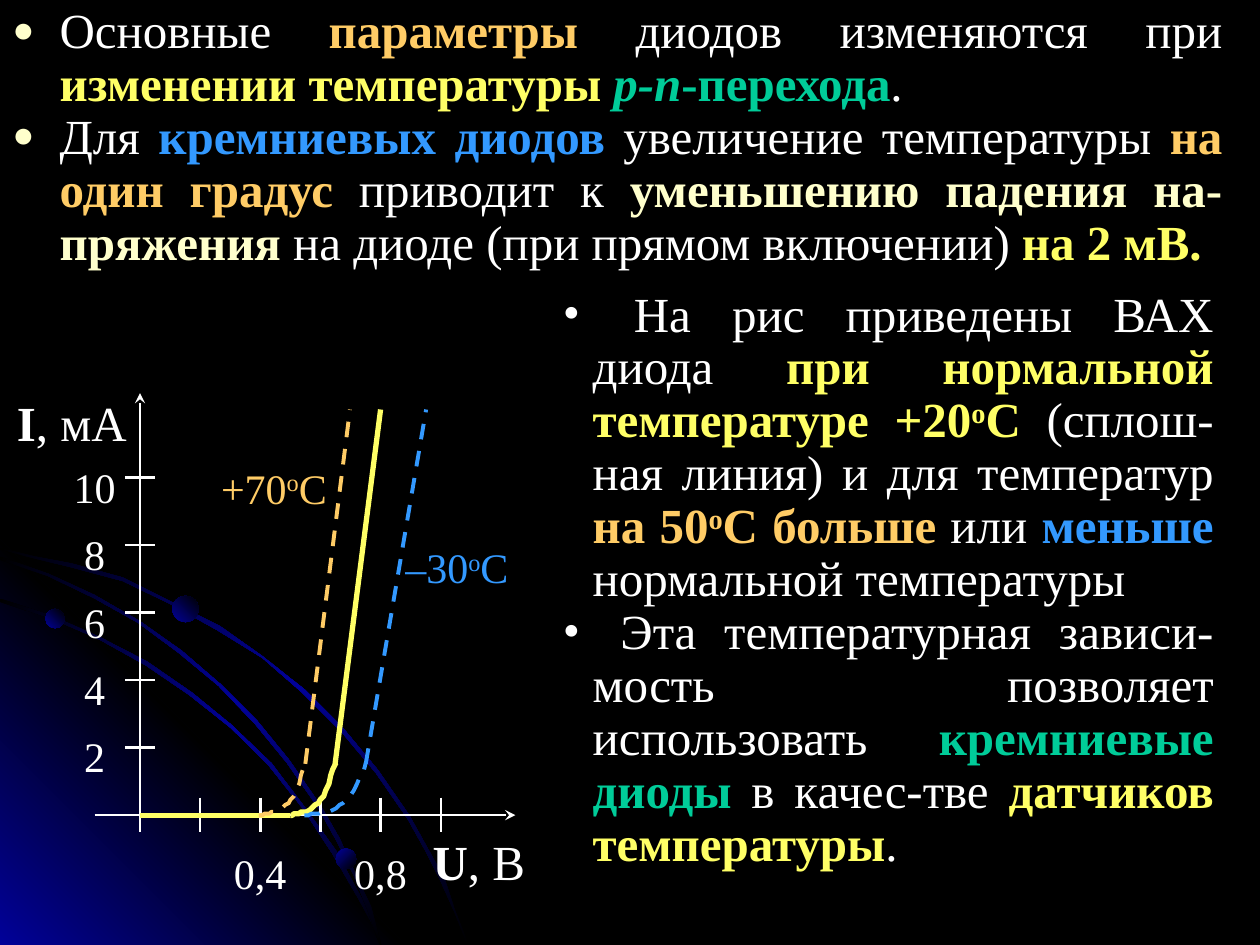
from dataclasses import dataclass
from typing import NamedTuple

from lxml import etree
from pptx import Presentation
from pptx import util as u
from pptx.dml.color import RGBColor
from pptx.enum import dml, shapes, text
from pptx.oxml import ns

COLORS = {"white": "FFFFFF", "black": "000000", "navy": "010199", "cream": "FFFFCC",
          "orange": "FFCC66", "yellow": "FFFF66", "green": "00CC99", "blue": "3399FF"}
FONT = "Times New Roman"
ORIGIN_X, AXIS_Y, KNEE_Y, TOP_Y = 80, 465.8, 436.5, 234
X_STEP, Y_STEP = 34.4, 38.5
BEND = [(0, 0), (0.03, 0), (0.11, 0.02), (0.17, 0.03), (0.25, 0.05), (0.33, 0.05), (0.44, 0.1),
        (0.53, 0.17), (0.64, 0.22), (0.75, 0.37), (0.83, 0.54), (0.94, 0.85), (1, 1)]
ARCS = [
    [(0, 313), (20, 317.5), (41, 322), (70.5, 330.5), (98, 343.5), (125.5, 358), (150.5, 375),
     (174, 394.5), (196, 416), (216, 440), (234, 466.5), (244, 484.5), (253.5, 502.5),
     (260.5, 520.5), (268, 539.5)],
    [(0, 342), (29.5, 351.5), (57, 363.5), (84, 378.5), (109.5, 395.5), (132.5, 414.5),
     (155, 436.5), (174, 461), (191.5, 486.5), (206, 512.5), (213, 525.5), (218, 539.5)],
    [(0, 318), (28, 327.5), (54.5, 340.5), (80, 355), (103.5, 371.5), (126, 391), (147, 412.5),
     (165, 434), (183, 460), (193.5, 479), (203, 499), (211.5, 518.5), (218, 539.5)],
]


class Run(NamedTuple):
    text: str
    color: str = "white"
    bold: bool = False
    italic: bool = False
    sup: bool = False


class Bullet(NamedTuple):
    char: str
    indent: float
    color: str
    percent: int


@dataclass
class Label:
    left: float
    top: float
    width: float
    runs: list
    size: float = 24


@dataclass
class Curve:
    foot: float
    knee: float
    tip: float
    color: str
    weight: float
    dashed: bool = True


@dataclass
class Ball:
    left: float
    top: float
    size: float
    angle: int


def rgb(name: str) -> RGBColor:
    return RGBColor.from_string(COLORS[name])


def child(parent, tag: str, **attrs):
    return etree.SubElement(parent, ns.qn(tag), {k: str(v) for k, v in attrs.items()})


def gradient(sp, names: list, angle: int) -> None:
    sp.shadow.inherit = False
    sp.line.fill.background()
    sp.fill.gradient()
    grad = sp._element.spPr.find(ns.qn("a:gradFill"))
    for old in list(grad):
        grad.remove(old)
    stops = child(grad, "a:gsLst")
    for i, name in enumerate(names):
        stop = child(stops, "a:gs", pos=100000 * i // (len(names) - 1))
        child(stop, "a:srgbClr", val=COLORS[name])
    child(grad, "a:lin", ang=angle * 60000, scaled=1)


def outline(s, points: list, close: bool):
    fb = s.shapes.build_freeform(*points[0], scale=u.Pt(1))
    fb.add_line_segments(points[1:], close=close)
    return fb.convert_to_shape()


def stroke(line, color: str, weight: float, dashed: bool) -> None:
    line.color.rgb = rgb(color)
    line.width = u.Pt(weight)
    if dashed:
        line.dash_style = dml.MSO_LINE.DASH


def add_line(s, x1: float, y1: float, x2: float, y2: float, color: str = "white",
             weight: float = 1.5, dashed: bool = False, arrow: bool = False) -> None:
    sp = s.shapes.add_connector(shapes.MSO_CONNECTOR.STRAIGHT, *map(u.Pt, (x1, y1, x2, y2)))
    stroke(sp.line, color, weight, dashed)
    if arrow:
        child(sp.line._get_or_add_ln(), "a:tailEnd", type="stealth")
    child(sp._element.spPr, "a:effectLst")


def add_runs(p, runs: list, size: float) -> None:
    for run in runs:
        r = p.add_run()
        r.text = run.text
        r.font.name, r.font.size = FONT, u.Pt(size)
        r.font.bold, r.font.italic = run.bold, run.italic
        r.font.color.rgb = rgb(run.color)
        if run.sup:
            r._r.get_or_add_rPr().set("baseline", "30000")


def add_frame(s, left: float, top: float, width: float, height: float):
    tf = s.shapes.add_textbox(*map(u.Pt, (left, top, width, height))).text_frame
    tf.word_wrap = True
    return tf


def add_label(s, label: Label) -> None:
    tf = add_frame(s, label.left, label.top, label.width, 28.8)
    tf.margin_left = tf.margin_right = tf.margin_top = tf.margin_bottom = 0
    tf.paragraphs[0].alignment = text.PP_ALIGN.CENTER
    add_runs(tf.paragraphs[0], label.runs, label.size)


def add_bullets(s, box: tuple, bullet: Bullet, items: list) -> None:
    tf = add_frame(s, *box)
    for i, runs in enumerate(items):
        p = tf.add_paragraph() if i else tf.paragraphs[0]
        p.alignment, p.line_spacing = text.PP_ALIGN.JUSTIFY, 0.9
        pPr = p._p.get_or_add_pPr()
        pPr.set("marL", str(u.Pt(bullet.indent)))
        pPr.set("indent", str(-u.Pt(bullet.indent)))
        child(child(pPr, "a:buClr"), "a:srgbClr", val=COLORS[bullet.color])
        child(pPr, "a:buSzPct", val=bullet.percent * 1000)
        child(pPr, "a:buFont", typeface=FONT)
        child(pPr, "a:buChar", char=bullet.char)
        add_runs(p, runs, 28)


def bezier(a: float, b: float, c: float, d: float, t: float) -> float:
    return a * (1 - t) ** 3 + 3 * b * t * (1 - t) ** 2 + 3 * c * t * t * (1 - t) + d * t ** 3


def add_curve(s, c: Curve) -> None:
    nodes = [(c.foot + (c.knee - c.foot) * x, AXIS_Y - (AXIS_Y - KNEE_Y) * y) for x, y in BEND]
    points = nodes[:1]
    for i in range(0, len(nodes) - 1, 3):
        xs, ys = zip(*nodes[i:i + 4])
        points += [(bezier(*xs, k / 5), bezier(*ys, k / 5)) for k in range(1, 6)]
    sp = outline(s, points, close=False)
    sp.shadow.inherit = False
    sp.fill.background()
    stroke(sp.line, c.color, c.weight, c.dashed)
    add_line(s, c.knee, KNEE_Y, c.tip, TOP_Y, c.color, c.weight, c.dashed)


def add_backdrop(s) -> None:
    s.background.fill.solid()
    s.background.fill.fore_color.rgb = rgb("black")
    corner = outline(s, [(232, 539.5), (0, 539.5), (0, 307.5)], close=True)
    gradient(corner, ["navy", "black", "navy"], 315)
    for arc in ARCS:
        lower = [(max(x - 1, 0), min(y + 1.5, 539.5)) for x, y in reversed(arc)]
        gradient(outline(s, arc + lower, close=True), ["black", "navy", "black"], 45)
    for b in (Ball(26, 348, 11, 315), Ball(192, 485, 11.5, 45), Ball(98.5, 340.5, 15, 315)):
        sp = s.shapes.add_shape(shapes.MSO_SHAPE.OVAL, *map(u.Pt, (b.left, b.top, b.size, b.size)))
        gradient(sp, ["navy", "black"], b.angle)


def add_graph(s) -> None:
    for i in range(5):
        y, x = 427 - Y_STEP * i, ORIGIN_X + X_STEP * (i + 1)
        add_line(s, 71.3, y, 88.6, y)
        add_line(s, x, 455.8, x, 475.2)
        add_label(s, Label(36.7, y - 9.4, 34.6, [Run(str(2 * i + 2))]))
    add_line(s, ORIGIN_X, 475.2, ORIGIN_X, 224.6, arrow=True)
    add_line(s, 54, AXIS_Y, 294.5, AXIS_Y, arrow=True)
    add_line(s, ORIGIN_X, AXIS_Y, 165.5, AXIS_Y, "yellow", 3)
    for c in (Curve(165.5, 191.5, 217.5, "yellow", 3, False),
              Curve(174.5, 209, 243.5, "blue", 2.25), Curve(148.5, 174.5, 200, "orange", 2.25)):
        add_curve(s, c)
    for label in (
            Label(131.5, 484.5, 34.2, [Run("0,4")]), Label(200.3, 484.5, 34.2, [Run("0,8")]),
            Label(0, 224.6, 82, [Run("I", bold=True), Run(", мА")], 28),
            Label(243.4, 475.2, 60.5, [Run("U", bold=True), Run(", В")], 28),
            Label(121.7, 264.2, 69.8,
                  [Run("+70", "orange"), Run("о", "orange", sup=True), Run("С", "orange")]),
            Label(224, 309.6, 74.2,
                  [Run("–30", "blue"), Run("о", "blue", sup=True), Run("С", "blue")])):
        add_label(s, label)


def main() -> None:
    """Build the slide on how temperature shifts diode characteristics."""
    prs = Presentation()
    prs.slide_width, prs.slide_height = u.Pt(720), u.Pt(540)
    s = prs.slides.add_slide(prs.slide_layouts[6])
    add_backdrop(s)
    add_bullets(s, (0, 0, 705.6, 158.4), Bullet("●", 27, "cream", 75), [
        [Run("Основные "), Run("параметры", "orange", True), Run(" диодов изменяются при "),
         Run("изменении температуры ", "yellow", True), Run("p-n", "green", True, True),
         Run("-перехода", "green", True), Run(".")],
        [Run("Для "), Run("кремниевых диодов", "blue", True), Run(" увеличение температуры "),
         Run("на один градус", "orange", True), Run(" приводит к "),
         Run("уменьшению падения на-пряжения", "cream", True),
         Run(" на диоде (при прямом включении) "), Run("на 2 мВ.", "yellow", True)]])
    add_graph(s)
    add_bullets(s, (314.6, 162, 386, 309.6), Bullet("•", 17, "white", 100), [
        [Run(" На рис приведены ВАХ диода "),
         Run("при нормальной температуре +20", "yellow", True),
         Run("о", "yellow", True, sup=True), Run("С", "yellow", True),
         Run(" (сплош-ная линия) и для температур "), Run("на 50", "orange", True),
         Run("о", "orange", True, sup=True), Run("С больше", "orange", True), Run(" или "),
         Run("меньше", "blue", True), Run(" нормальной температуры")],
        [Run(" Эта температурная зависи-мость позволяет использовать "),
         Run("кремниевые диоды", "green", True), Run(" в качес-тве "),
         Run("датчиков температуры", "yellow", True), Run(".")]])
    prs.save("out.pptx")


if __name__ == "__main__":
    main()
